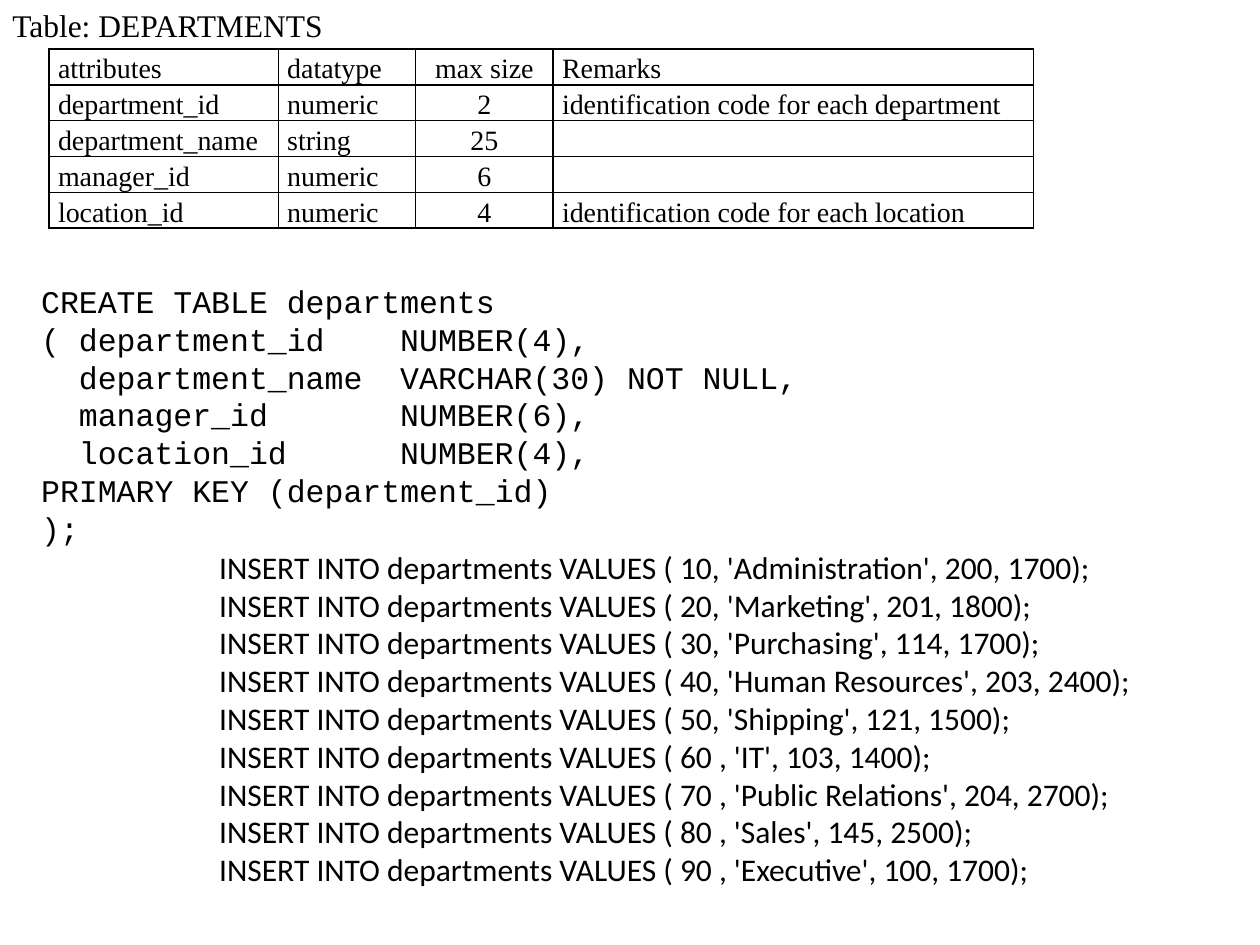
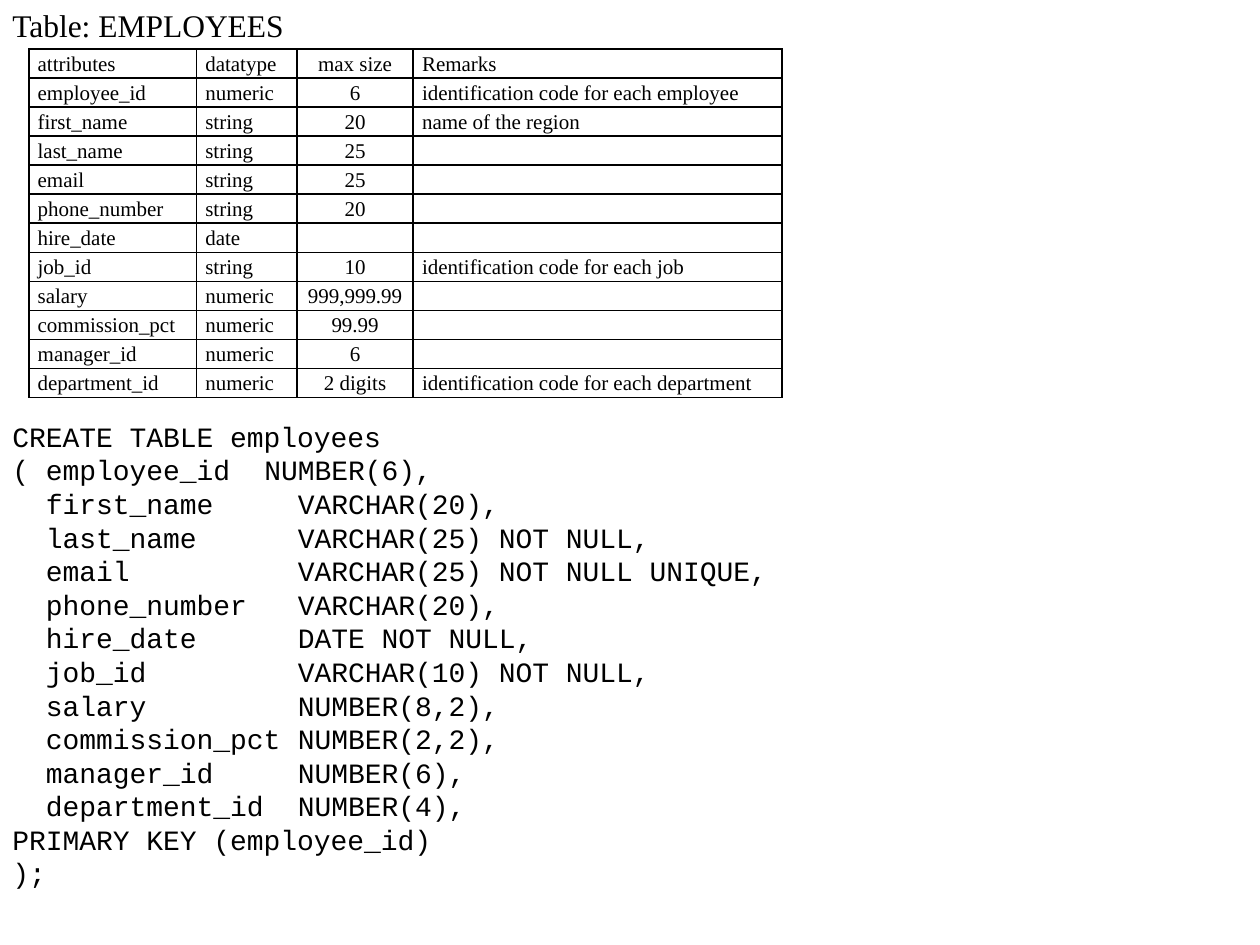
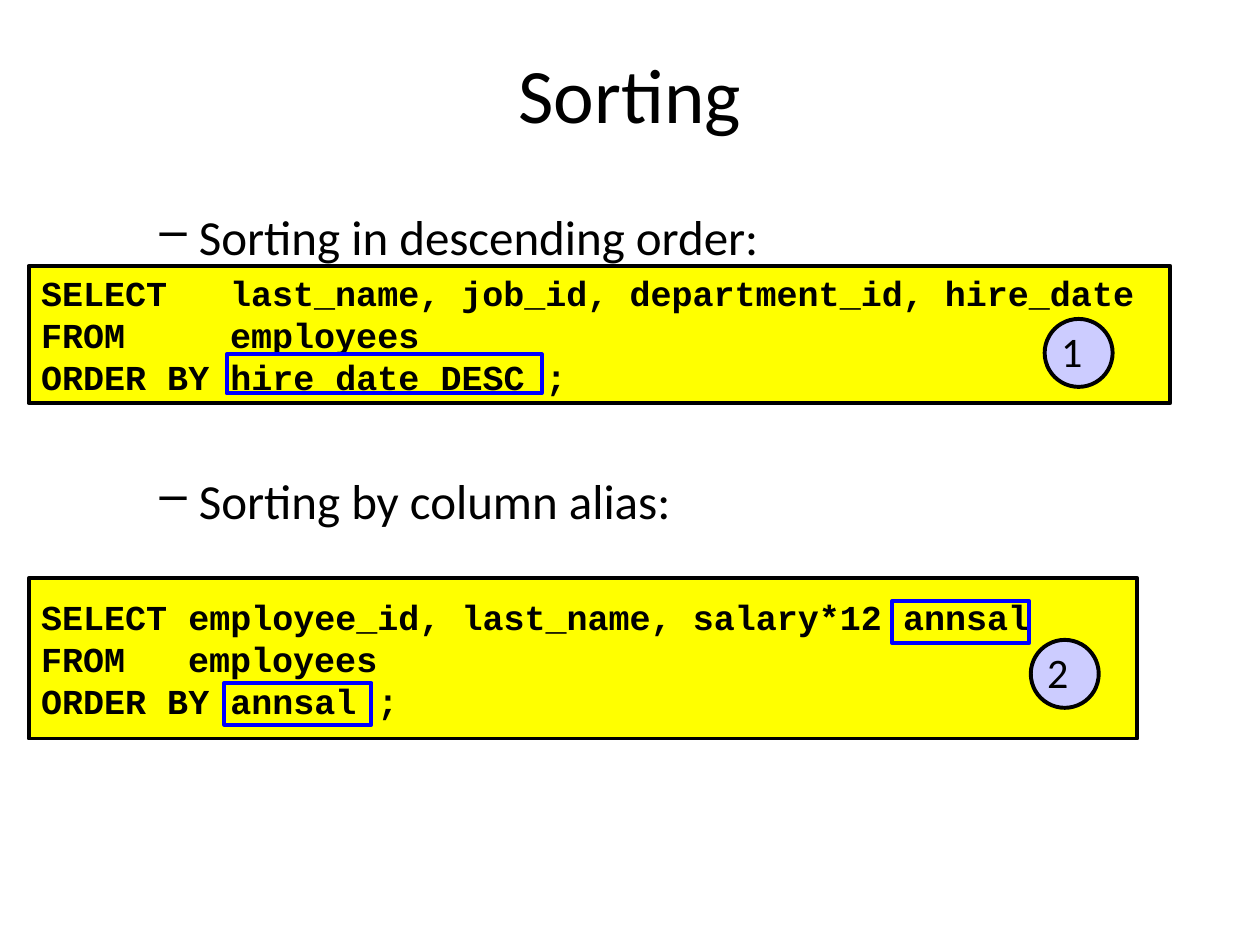
from lxml.etree import SubElement
from pptx import Presentation
from pptx.dml.color import RGBColor
from pptx.enum.shapes import MSO_SHAPE
from pptx.enum.text import MSO_ANCHOR, PP_ALIGN
from pptx.oxml.ns import qn
from pptx.util import Cm, Pt

COLORS = {"ink": "000000", "code": "FFFF00", "highlight": "0000FF", "badge": "CCCCFF"}
SANS, SERIF, MONO = "Calibri", "Times New Roman", "Courier New"
MONO_ADVANCE = 0.6
HEADER = ("attributes", "datatype", "max size", "Remarks")

DEPARTMENTS = {
    "heading": "Table: DEPARTMENTS",
    "left": 0.99, "columns": (4.62, 2.77, 2.77, 9.68), "row_height": 0.72, "size": 16,
    "rows": [
        ("department_id", "numeric", "2", "identification code for each department"),
        ("department_name", "string", "25", ""),
        ("manager_id", "numeric", "6", ""),
        ("location_id", "numeric", "4", "identification code for each location"),
    ],
    "code_at": (0.58, 5.56, 16.08, 5.64), "code_size": 18,
    "code": [
        ((), "CREATE TABLE departments"),
        ((2, 19), "(\tdepartment_id\tNUMBER(4),"),
        ((2, 19), "\tdepartment_name\tVARCHAR(30) NOT NULL,"),
        ((2, 19), "\tmanager_id\tNUMBER(6),"),
        ((2, 19), "\tlocation_id\tNUMBER(4),"),
        ((), "PRIMARY KEY (department_id)"),
        ((), ");"),
    ],
}
EMPLOYEES = {
    "heading": "Table: EMPLOYEES",
    "left": 0.58, "columns": (3.38, 2.03, 2.34, 7.44), "row_height": 0.58, "size": 12,
    "rows": [
        ("employee_id", "numeric", "6", "identification code for each employee"),
        ("first_name", "string", "20", "name of the region"),
        ("last_name", "string", "25", ""),
        ("email", "string", "25", ""),
        ("phone_number", "string", "20", ""),
        ("hire_date", "date", "", ""),
        ("job_id", "string", "10", "identification code for each job"),
        ("salary", "numeric", "999,999.99", ""),
        ("commission_pct", "numeric", "99.99", ""),
        ("manager_id", "numeric", "6", ""),
        ("department_id", "numeric", "2 digits", "identification code for each department"),
    ],
    "code_at": (0, 8.33, 18.06, 9.83), "code_size": 16,
    "code": [
        ((), "CREATE TABLE employees"),
        ((2, 15), "(\temployee_id\tNUMBER(6),"),
        ((2, 17), "\tfirst_name\tVARCHAR(20),"),
        ((2, 17), "\tlast_name\tVARCHAR(25) NOT NULL,"),
        ((2, 17), "\temail\tVARCHAR(25) NOT NULL UNIQUE,"),
        ((2, 17), "\tphone_number\tVARCHAR(20),"),
        ((2, 17), "\thire_date\tDATE NOT NULL,"),
        ((2, 17), "\tjob_id\tVARCHAR(10) NOT NULL,"),
        ((2, 17), "\tsalary\tNUMBER(8,2),"),
        ((2, 17), "\tcommission_pct\tNUMBER(2,2),"),
        ((2, 17), "\tmanager_id\tNUMBER(6),"),
        ((2, 17), "\tdepartment_id\tNUMBER(4),"),
        ((), "PRIMARY KEY (employee_id)"),
        ((), ");"),
    ],
}
DEPARTMENT_VALUES = [
    "10, 'Administration', 200, 1700",
    "20, 'Marketing', 201, 1800",
    "30, 'Purchasing', 114, 1700",
    "40, 'Human Resources', 203, 2400",
    "50, 'Shipping', 121, 1500",
    "60 , 'IT', 103, 1400",
    "70 , 'Public Relations', 204, 2700",
    "80 , 'Sales', 145, 2500",
    "90 , 'Executive', 100, 1700",
]
SORT_TITLE = "Sorting"
SORT_POINTS = [("Sorting in descending order:", 0), ("Sorting by column alias:", 117)]
QUERIES = [
    {
        "at": (0.58, 5.36, 23.01, 2.77),
        "code": [
            ((9,), "SELECT\tlast_name, job_id, department_id, hire_date"),
            ((9,), "FROM\temployees"),
            ((), "ORDER BY hire_date DESC ;"),
        ],
        "highlights": [(4.57, 7.14, 6.35, 0.79)],
        "badge": (21.06, 6.43),
    },
    {
        "at": (0.58, 11.66, 22.35, 3.23),
        "code": [
            ((), "SELECT employee_id, last_name, salary*12 annsal"),
            ((7,), "FROM\temployees"),
            ((), "ORDER BY annsal ;"),
        ],
        "highlights": [(17.98, 12.12, 2.77, 0.84), (4.52, 13.77, 2.97, 0.84)],
        "badge": (20.78, 12.9),
    },
]
BADGE_SIZE = 1.37


def color(name):
    return RGBColor.from_string(COLORS[name])


def style(para, font, size, bold=False, align=PP_ALIGN.LEFT):
    para.alignment = align
    for span in para.runs:
        span.font.name = font
        span.font.size = Pt(size)
        span.font.bold = bold
        span.font.color.rgb = color("ink")


def write(box, lines, font, size, bold=False, align=PP_ALIGN.LEFT, anchor=MSO_ANCHOR.TOP):
    frame = box.text_frame
    frame.word_wrap = True
    frame.vertical_anchor = anchor
    frame.text = "\n".join(lines)
    for para in frame.paragraphs:
        style(para, font, size, bold, align)
    return frame


def add_text(page, at, lines, font, size, **options):
    box = page.shapes.add_textbox(*map(Cm, at))
    return write(box, lines, font, size, **options)


def write_code(box, code, size, **options):
    frame = write(box, [line for stops, line in code], MONO, size, **options)
    for para, (stops, line) in zip(frame.paragraphs, code):
        if stops:
            tabs = SubElement(para._p.get_or_add_pPr(), qn("a:tabLst"))
            for stop in stops:
                SubElement(tabs, qn("a:tab"), pos=str(Pt(stop * size * MONO_ADVANCE)), algn="l")


def add_border(cell):
    properties = cell._tc.get_or_add_tcPr()
    for index, side in enumerate(("lnL", "lnR", "lnT", "lnB")):
        line = SubElement(properties, qn(f"a:{side}"), w=str(Pt(1)))
        fill = SubElement(line, qn("a:solidFill"))
        SubElement(fill, qn("a:srgbClr"), val=COLORS["ink"])
        properties.insert(index, line)


def add_attribute_table(page, schema):
    rows = [HEADER] + schema["rows"]
    columns, height = schema["columns"], schema["row_height"]
    table = page.shapes.add_table(
        len(rows), len(columns), Cm(schema["left"]), Cm(0.99),
        Cm(sum(columns)), Cm(height * len(rows))).table
    table.first_row = table.horz_banding = False
    for column, width in zip(table.columns, columns):
        column.width = Cm(width)
    for row, values in zip(table.rows, rows):
        row.height = Cm(height)
        for index, (cell, value) in enumerate(zip(row.cells, values)):
            cell.margin_left = cell.margin_right = Cm(0.18)
            cell.margin_top = cell.margin_bottom = 0
            cell.fill.background()
            add_border(cell)
            cell.text = value
            para = cell.text_frame.paragraphs[0]
            para.line_spacing = 1.15
            style(para, SERIF, schema["size"],
                  align=PP_ALIGN.CENTER if index == 2 else PP_ALIGN.LEFT)
            if not value:
                SubElement(para._p, qn("a:endParaRPr"), sz=str(schema["size"] * 100))


def add_schema_page(deck, schema):
    page = deck.slides.add_slide(deck.slide_layouts[6])
    add_attribute_table(page, schema)
    add_text(page, (0, 0, 7.92, 1.02), [schema["heading"]], SERIF, 18, anchor=MSO_ANCHOR.MIDDLE)
    code_box = page.shapes.add_textbox(*map(Cm, schema["code_at"]))
    write_code(code_box, schema["code"], schema["code_size"])
    return page


def add_outlined(page, kind, at, line, fill=None):
    shape = page.shapes.add_shape(kind, *map(Cm, at))
    shape.shadow.inherit = False
    shape.line.color.rgb = color(line)
    shape.line.width = Pt(2.25)
    if fill:
        shape.fill.solid()
        shape.fill.fore_color.rgb = color(fill)
    else:
        shape.fill.background()
    return shape


def add_query(page, number, query):
    panel = add_outlined(page, MSO_SHAPE.RECTANGLE, query["at"], "ink", "code")
    write_code(panel, query["code"], 20, bold=True, anchor=MSO_ANCHOR.MIDDLE)
    for at in query["highlights"]:
        add_outlined(page, MSO_SHAPE.RECTANGLE, at, "highlight")
    badge = add_outlined(page, MSO_SHAPE.OVAL, (*query["badge"], BADGE_SIZE, BADGE_SIZE),
                         "ink", "badge")
    frame = write(badge, [str(number)], SANS, 24, anchor=MSO_ANCHOR.MIDDLE)
    frame.margin_left = frame.margin_right = Cm(0.13)
    frame.paragraphs[0].line_spacing = 0.95


def add_sorting_page(deck):
    page = deck.slides.add_slide(deck.slide_layouts[6])
    add_text(page, (1.27, 0.76, 22.86, 2.21), [SORT_TITLE], SANS, 44,
             align=PP_ALIGN.CENTER, anchor=MSO_ANCHOR.MIDDLE)
    points = add_text(page, (1.7, 4.04, 22, 7.52), [text for text, gap in SORT_POINTS], SANS, 28)
    for para, (text, gap) in zip(points.paragraphs, SORT_POINTS):
        para.space_before = Pt(gap)
        properties = para._p.get_or_add_pPr()
        properties.set("marL", str(Cm(2.06)))
        properties.set("indent", str(-Cm(0.79)))
        SubElement(properties, qn("a:buChar"), char="–")
    for number, query in enumerate(QUERIES, 1):
        add_query(page, number, query)


def main():
    deck = Presentation()
    deck.slide_width, deck.slide_height = Cm(25.4), Cm(19.05)
    page = add_schema_page(deck, DEPARTMENTS)
    inserts = [f"INSERT INTO departments VALUES ( {values});" for values in DEPARTMENT_VALUES]
    add_text(page, (4.17, 10.92, 19.05, 7.19), inserts, SANS, 18)
    add_schema_page(deck, EMPLOYEES)
    add_sorting_page(deck)
    deck.save("out.pptx")


if __name__ == "__main__":
    main()
